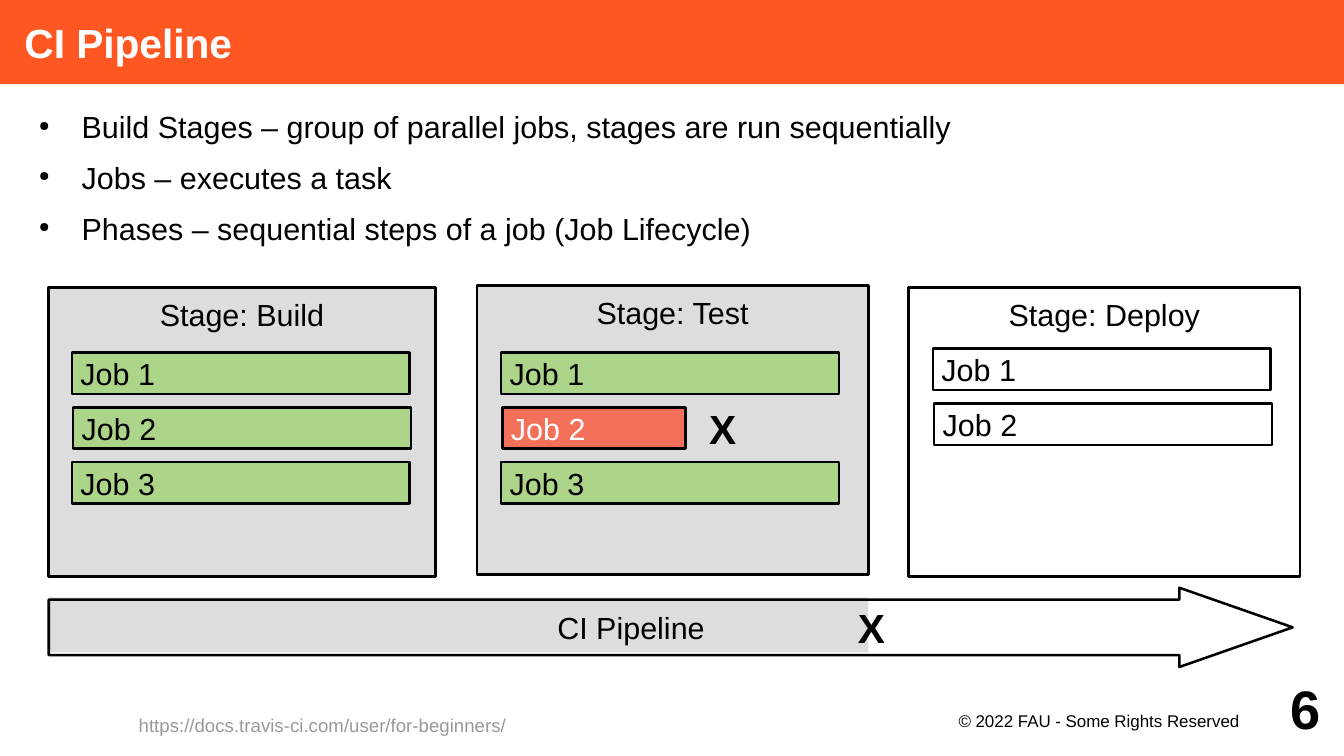
from dataclasses import dataclass

from lxml.etree import SubElement
from pptx import Presentation
from pptx.dml.color import RGBColor
from pptx.enum.shapes import MSO_SHAPE
from pptx.enum.text import MSO_ANCHOR, MSO_AUTO_SIZE, PP_ALIGN
from pptx.oxml.ns import qn
from pptx.util import Inches, Pt

ORANGE = RGBColor(0xFF, 0x57, 0x22)
WHITE = RGBColor(0xFF, 0xFF, 0xFF)
BLACK = RGBColor(0, 0, 0)
GRAY = RGBColor(0xDD, 0xDD, 0xDD)
LINK_GRAY = RGBColor(0x99, 0x99, 0x99)
GREEN = RGBColor(0xAD, 0xD5, 0x8A)
RED = RGBColor(0xF3, 0x71, 0x5A)

JOB_WIDTH, JOB_HEIGHT, JOB_PITCH = 2.77, 0.34, 0.45


@dataclass
class Job:
    name: str
    fill: RGBColor | None = GREEN
    width: float = JOB_WIDTH
    color: RGBColor = BLACK
    shift: float = 0


@dataclass
class Stage:
    name: str
    left: float
    top: float
    width: float
    fill: RGBColor | None
    job_left: float
    job_top: float
    jobs: list[Job]


STAGES = [
    Stage("Stage: Build", 0.4, 2.36, 3.17, GRAY, 0.59, 2.89,
          [Job("Job 1"), Job("Job 2", shift=0.01), Job("Job 3")]),
    Stage("Stage: Test", 3.91, 2.34, 3.21, GRAY, 4.11, 2.89,
          [Job("Job 1"), Job("Job 2", RED, 1.5, WHITE, 0.01), Job("Job 3")]),
    Stage("Stage: Deploy", 7.45, 2.36, 3.21, None, 7.65, 2.86,
          [Job("Job 1", None), Job("Job 2", None, shift=0.01)]),
]
BULLETS = [
    "Build Stages – group of parallel jobs, stages are run sequentially",
    "Jobs – executes a task",
    "Phases – sequential steps of a job (Job Lifecycle)",
]


def write(tf, text: str, *, size: float = 18, color: RGBColor = BLACK, bold: bool = False,
          align=PP_ALIGN.LEFT, anchor=MSO_ANCHOR.MIDDLE, insets=(0, 0, 0, 0),
          wrap: bool = True, grow: bool = False) -> None:
    tf.margin_left, tf.margin_top, tf.margin_right, tf.margin_bottom = map(Inches, insets)
    tf.auto_size = MSO_AUTO_SIZE.SHAPE_TO_FIT_TEXT if grow else MSO_AUTO_SIZE.NONE
    tf.word_wrap = wrap
    tf.vertical_anchor = anchor
    tf.text = text
    for p in tf.paragraphs:
        p.alignment = align
        for r in p.runs:
            r.font.name, r.font.size, r.font.bold = "Arial", Pt(size), bold
            r.font.color.rgb = color


def add_label(s, box: tuple, text: str, **fmt):
    sp = s.shapes.add_textbox(*map(Inches, box))
    write(sp.text_frame, text, **fmt)
    return sp


def add_box(s, box: tuple, fill: RGBColor | None, text: str = "", *,
            kind=MSO_SHAPE.RECTANGLE, outlined: bool = True, **fmt):
    sp = s.shapes.add_shape(kind, *map(Inches, box))
    sp.shadow.inherit = False
    if fill is None:
        sp.fill.background()
    else:
        sp.fill.solid()
        sp.fill.fore_color.rgb = fill
    if outlined:
        sp.line.color.rgb = BLACK
        sp.line.width = Pt(1.5)
    else:
        sp.line.fill.background()
    if text:
        write(sp.text_frame, text, insets=(0.07,) * 4, wrap=False, **fmt)
    return sp


def add_title(s, text: str) -> None:
    sp = s.shapes.title
    sp.left, sp.top, sp.width, sp.height = map(Inches, (0, 0, 11.02, 0.69))
    sp.fill.solid()
    sp.fill.fore_color.rgb = ORANGE
    write(sp.text_frame, text, size=24, color=WHITE, bold=True, insets=(0.2, 0, 0, 0))


def add_bullets(s, items: list[str]) -> None:
    sp = add_label(s, (0.2, 0.89, 10.63, 1.3), "\n".join(items), anchor=MSO_ANCHOR.TOP)
    for i, p in enumerate(sp.text_frame.paragraphs):
        pPr = p._p.get_or_add_pPr()
        pPr.set("marL", str(Inches(0.47)))
        pPr.set("indent", str(Inches(-0.35)))
        color = SubElement(pPr, qn("a:buClr"))
        SubElement(color, qn("a:srgbClr"), val=str(BLACK))
        SubElement(pPr, qn("a:buSzPct"), val="45000")
        SubElement(pPr, qn("a:buChar"), char="●")
        p.space_after = Pt(4.2)
        if i:
            p.space_before = Pt(4.2)


def add_stage(s, stage: Stage) -> None:
    add_box(s, (stage.left, stage.top, stage.width, 2.37), stage.fill, stage.name,
            align=PP_ALIGN.CENTER, anchor=MSO_ANCHOR.TOP)
    for i, job in enumerate(stage.jobs):
        box = (stage.job_left + job.shift, stage.job_top + i * JOB_PITCH, job.width, JOB_HEIGHT)
        add_box(s, box, job.fill, job.name, color=job.color)


def add_pipeline(s) -> None:
    add_box(s, (0.4, 4.9, 6.72, 0.45), GRAY, outlined=False)
    arrow = add_box(s, (0.4, 4.82, 10.2, 0.65), None, "CI Pipeline",
                    kind=MSO_SHAPE.RIGHT_ARROW, align=PP_ALIGN.CENTER)
    arrow.adjustments[0], arrow.adjustments[1] = 0.7, 1.43
    for left, top in ((5.67, 3.23), (6.89, 4.86)):
        add_label(s, (left, top, 0.51, 0.56), "X", size=24, bold=True,
                  align=PP_ALIGN.CENTER, insets=(0.08,) * 4, grow=True)


def add_footer(s) -> None:
    add_label(s, (0, 5.7, 5.29, 0.5), "https://docs.travis-ci.com/user/for-beginners/",
              size=11, color=LINK_GRAY, align=PP_ALIGN.CENTER, insets=(0.08,) * 4, grow=True)
    add_label(s, (7.09, 5.81, 3.15, 0.3), "© 2022 FAU - Some Rights Reserved", size=10,
              align=PP_ALIGN.RIGHT, anchor=MSO_ANCHOR.TOP, insets=(0, 0.02, 0.08, 0))
    add_label(s, (10.04, 5.51, 0.79, 0.59), "6", size=32, bold=True, align=PP_ALIGN.RIGHT)


def main() -> None:
    prs = Presentation()
    prs.slide_width, prs.slide_height = Inches(11.02), Inches(6.2)
    s = prs.slides.add_slide(prs.slide_layouts[5])
    add_title(s, "CI Pipeline")
    add_bullets(s, BULLETS)
    for stage in STAGES:
        add_stage(s, stage)
    add_pipeline(s)
    add_footer(s)
    prs.save("out.pptx")


if __name__ == "__main__":
    main()
